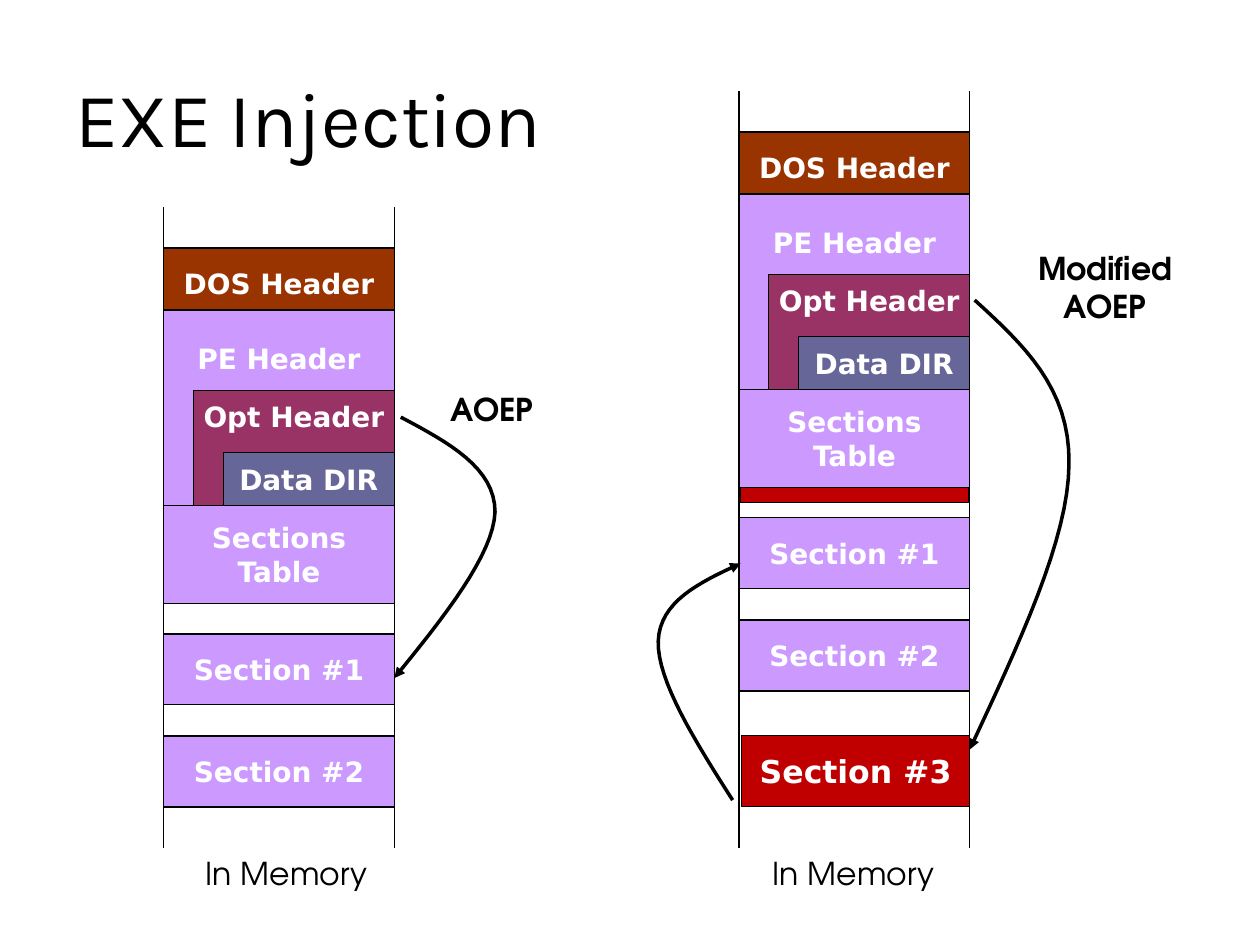
from pptx import Presentation, util as u
from pptx.dml import color
from pptx.enum import shapes, text
from pptx.oxml import parse_xml
from pptx.oxml.ns import nsdecls, qn

BLOCK_FONT = "DejaVu Sans"
LABEL_FONT = "TeX Gyre Adventor"
LILAC, BROWN, PLUM, SLATE, RED = "CC99FF", "993300", "993366", "666699", "C00000"
COLUMN_WIDTH = 4.65
SECTION_HEIGHT = 1.43
CURVE_STEPS = 16

HEADERS = [
    ("DOS Header", 0, 0.83, 1.42, BROWN, None),
    ("PE Header", 0, 2.08, 3.94, LILAC, 0.64),
    ("Opt Header", 0.6, 3.7, 2.32, PLUM, 0.18),
    ("Sections\nTable", 0, 6.02, 1.98, LILAC, None),
    ("Data DIR", 1.2, 4.95, 1.07, SLATE, None),
    ("Section #1", 0, 8.61, SECTION_HEIGHT, LILAC, None),
    ("Section #2", 0, 10.67, SECTION_HEIGHT, LILAC, None),
]
ENTRY_JUMP = [(4.78, 4.24), (5.74, 4.75), (6.68, 5.26), (6.68, 6.15),
              (6.65, 7.01), (5.66, 8.26), (4.65, 9.5)]
MODIFIED_JUMP = [(4.75, 4.22), (5.72, 5.11), (6.68, 5.99), (6.65, 7.52),
                 (6.65, 9.02), (5.64, 11.15), (4.65, 13.28)]
RETURN_JUMP = [(-0.13, 14.3), (-0.89, 13.11), (-1.65, 11.89), (-1.63, 11.1),
               (-1.6, 10.29), (-0.79, 9.91), (0.03, 9.53)]


def rgb(value):
    return color.RGBColor.from_string(value)


def write(frame, wording, font, size, ink, bold=False, align=text.PP_ALIGN.CENTER):
    frame.text = wording
    for paragraph in frame.paragraphs:
        paragraph.alignment = align
        for run in paragraph.runs:
            run.font.name = font
            run.font.size = u.Pt(size)
            run.font.bold = bold
            run.font.color.rgb = rgb(ink)


def stroke(line, width):
    line.color.rgb = rgb("000000")
    line.width = u.Pt(width)


def add_block(slide, left, top, width, height, fill, wording="", size=16, inset=None):
    block = slide.shapes.add_shape(
        shapes.MSO_SHAPE.RECTANGLE, u.Cm(left), u.Cm(top), u.Cm(width), u.Cm(height))
    block.shadow.inherit = False
    block.fill.solid()
    block.fill.fore_color.rgb = rgb(fill)
    stroke(block.line, 0.75)
    if wording:
        frame = block.text_frame
        frame.word_wrap = False
        frame.vertical_anchor = text.MSO_ANCHOR.MIDDLE
        if inset is not None:
            frame.vertical_anchor = text.MSO_ANCHOR.TOP
            frame.margin_top = u.Cm(inset)
        write(frame, wording, BLOCK_FONT, size, "FFFFFF", bold=True)


def add_rail(slide, x, top, height):
    rail = slide.shapes.add_connector(
        shapes.MSO_CONNECTOR.STRAIGHT, u.Cm(x), u.Cm(top), u.Cm(x), u.Cm(top + height))
    stroke(rail.line, 0.75)
    rail._element.spPr.append(parse_xml(f"<a:effectLst {nsdecls('a')}/>"))


def add_label(slide, left, top, width, height, wording, bold=False,
              align=text.PP_ALIGN.LEFT):
    label = slide.shapes.add_textbox(u.Cm(left), u.Cm(top), u.Cm(width), u.Cm(height))
    label.text_frame.word_wrap = False
    write(label.text_frame, wording, LABEL_FONT, 18, "000000", bold, align)


def bezier(controls, t):
    weights = ((1 - t) ** 3, 3 * t * (1 - t) ** 2, 3 * t ** 2 * (1 - t), t ** 3)
    return tuple(sum(w * point[axis] for w, point in zip(weights, controls))
                 for axis in (0, 1))


def add_jump(slide, left, top, controls):
    points = [bezier(controls[start:start + 4], step / CURVE_STEPS)
              for start in (0, 3) for step in range(1, CURVE_STEPS + 1)]
    start, *rest = [(u.Cm(left + x), u.Cm(top + y)) for x, y in [controls[0], *points]]
    builder = slide.shapes.build_freeform(*start)
    builder.add_line_segments(rest, close=False)
    jump = builder.convert_to_shape()
    jump.shadow.inherit = False
    jump.fill.background()
    stroke(jump.line, 2)
    outline = jump._element.spPr.find(qn("a:ln"))
    outline.append(parse_xml(f'<a:tailEnd {nsdecls("a")} type="triangle"/>'))


def add_memory_column(slide, left, top, height, caption_indent):
    for wording, indent, offset, block_height, fill, inset in HEADERS:
        add_block(slide, left + indent, top + offset, COLUMN_WIDTH - indent,
                  block_height, fill, wording, inset=inset)
    for x in (left, left + COLUMN_WIDTH):
        add_rail(slide, x, top, height)
    add_label(slide, left + caption_indent, top + height, 3.78, 1.02, "In Memory")


def add_clean_image(slide, left, top, height):
    add_memory_column(slide, left, top, height, 0.6)
    add_jump(slide, left, top, ENTRY_JUMP)
    add_label(slide, left + 5.54, top + 3.56, 2.21, 1.02, "AOEP", bold=True)


def add_injected_image(slide, left, top, height):
    add_memory_column(slide, left, top, height, 0.43)
    add_block(slide, left + 0.05, top + 13, COLUMN_WIDTH - 0.05, SECTION_HEIGHT,
              RED, "Section #3", size=18)
    add_block(slide, left + 0.03, top + 8, COLUMN_WIDTH - 0.05, 0.3, RED)
    add_jump(slide, left, top, MODIFIED_JUMP)
    add_jump(slide, left, top, RETURN_JUMP)
    add_label(slide, left + 5.64, top + 3.07, 3.48, 1.78, "Modified\nAOEP",
              bold=True, align=text.PP_ALIGN.CENTER)


def set_title(slide, left, top, width, height):
    title = slide.shapes.title
    title.left, title.top = u.Cm(left), u.Cm(top)
    title.width, title.height = u.Cm(width), u.Cm(height)
    title.text_frame.vertical_anchor = text.MSO_ANCHOR.MIDDLE
    write(title.text_frame, "EXE Injection", "Karla", 44, "000000",
          align=text.PP_ALIGN.LEFT)


def main():
    deck = Presentation()
    deck.slide_width, deck.slide_height = u.Cm(25.4), u.Cm(19.05)
    slide = deck.slides.add_slide(deck.slide_layouts[5])
    set_title(slide, 1.27, 0.76, 22.86, 3.18)
    add_clean_image(slide, 3.3, 4.17, 12.93)
    add_injected_image(slide, 14.9, 1.83, 15.27)
    deck.save("out.pptx")


if __name__ == "__main__":
    main()
